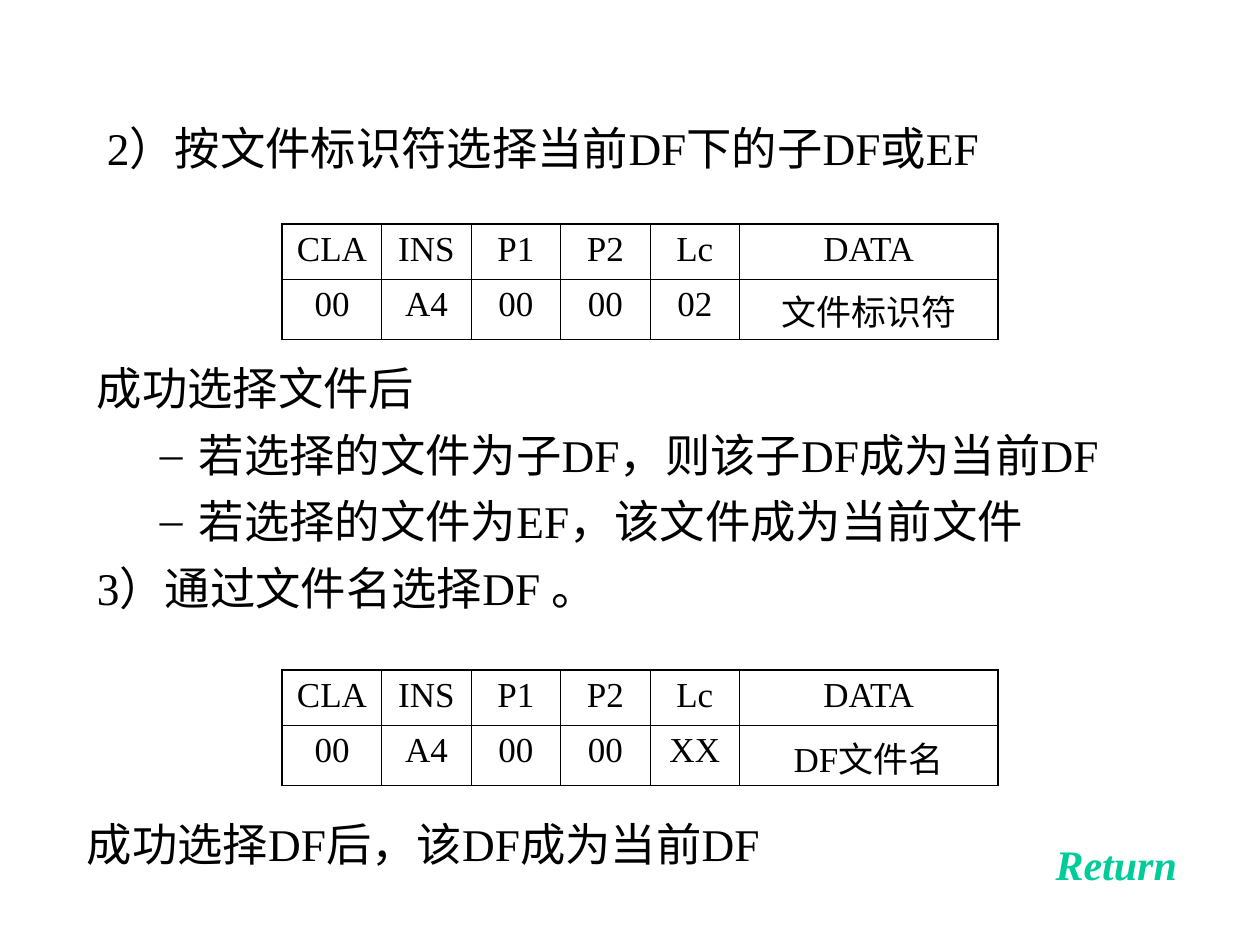
"""Build a slide on selecting files by identifier and by name."""
from lxml import etree
from pptx import Presentation
from pptx.dml.color import RGBColor
from pptx.enum.text import MSO_ANCHOR, PP_ALIGN
from pptx.oxml.ns import qn
from pptx.util import Pt

LEFT, CENTER = PP_ALIGN.LEFT, PP_ALIGN.CENTER
TOP, MIDDLE = MSO_ANCHOR.TOP, MSO_ANCHOR.MIDDLE
BLACK = RGBColor(0, 0, 0)
GREEN = RGBColor(0, 0xCC, 0x99)
FONT = "Times New Roman"
THIN, THICK = Pt(0.45), Pt(1.08)

deck = Presentation()
deck.slide_width, deck.slide_height = Pt(720), Pt(540)
unit = deck.slide_width // 100
slide = deck.slides.add_slide(deck.slide_layouts[6])


def write(frame, text, size=25.9, color=BLACK, align=LEFT, bold=False,
          line=None, gap=7, dash=False, first=True):
    para = frame.paragraphs[0] if first else frame.add_paragraph()
    para.alignment = align
    if line:
        para.line_spacing = line
    if not first:
        para.space_before = Pt(gap)
    if dash:
        para.level = 1
        props = para._p.get_or_add_pPr()
        props.set("marL", str(int(8.1 * unit)))
        props.set("indent", str(int(-3.1 * unit)))
        etree.SubElement(props, qn("a:buFont")).set("typeface", FONT)
        etree.SubElement(props, qn("a:buChar")).set("char", "–")
    run = para.add_run()
    run.text = text
    font = run.font
    font.name, font.size, font.color.rgb = FONT, Pt(size), color
    font.bold = font.italic = bold


def place(x, y, wide, high, wrap=True, anchor=TOP):
    spot = [int(n * unit) for n in (x, y, wide, high)]
    frame = slide.shapes.add_textbox(*spot).text_frame
    frame.word_wrap, frame.vertical_anchor = wrap, anchor
    return frame


write(place(7.5, 9.9, 81.9, 5.6), "2）按文件标识符选择当前DF下的子DF或EF", line=0.8)

body = place(6.7, 28.1, 90.6, 22.8)
lines = [
    ("成功选择文件后", False),
    ("若选择的文件为子DF，则该子DF成为当前DF", True),
    ("若选择的文件为EF，该文件成为当前文件", True),
    ("3）通过文件名选择DF 。", False),
]
for num, (text, dash) in enumerate(lines):
    write(body, text, dash=dash, first=num == 0)

write(place(5.9, 64.3, 85, 5.5), "成功选择DF后，该DF成为当前DF")
back = place(83.1, 66.6, 11, 3.9, wrap=False, anchor=MIDDLE)
back.margin_left = back.margin_right = 0
write(back, "Return", size=24, color=GREEN, align=CENTER, bold=True)

heads = ["CLA", "INS", "P1", "P2", "Lc", "DATA"]
wides = [7.9] + [7.1] * 4 + [20.5]
highs = [3.8, 4.8]
tables = [
    (17.8, ["00", "A4", "00", "00", "02", "文件标识符"]),
    (53.2, ["00", "A4", "00", "00", "XX", "DF文件名"]),
]
for top, codes in tables:
    spot = [int(n * unit) for n in (22.4, top, sum(wides), sum(highs))]
    table = slide.shapes.add_table(len(highs), len(wides), *spot).table
    table.first_row = table.horz_banding = False
    for col, wide in zip(table.columns, wides):
        col.width = int(wide * unit)
    for r, (high, texts) in enumerate(zip(highs, (heads, codes))):
        table.rows[r].height = int(high * unit)
        for c, text in enumerate(texts):
            cell = table.cell(r, c)
            write(cell.text_frame, text, size=20, align=CENTER)
            edges = {"L": c == 0, "R": c == len(wides) - 1,
                     "T": r == 0, "B": r == len(highs) - 1}
            props = cell._tc.get_or_add_tcPr()
            for side, outer in edges.items():
                rule = etree.SubElement(props, qn("a:ln" + side))
                rule.set("w", str(THICK if outer else THIN))
                fill = etree.SubElement(rule, qn("a:solidFill"))
                etree.SubElement(fill, qn("a:srgbClr")).set("val", str(BLACK))
            cell.fill.background()

deck.save("out.pptx")
